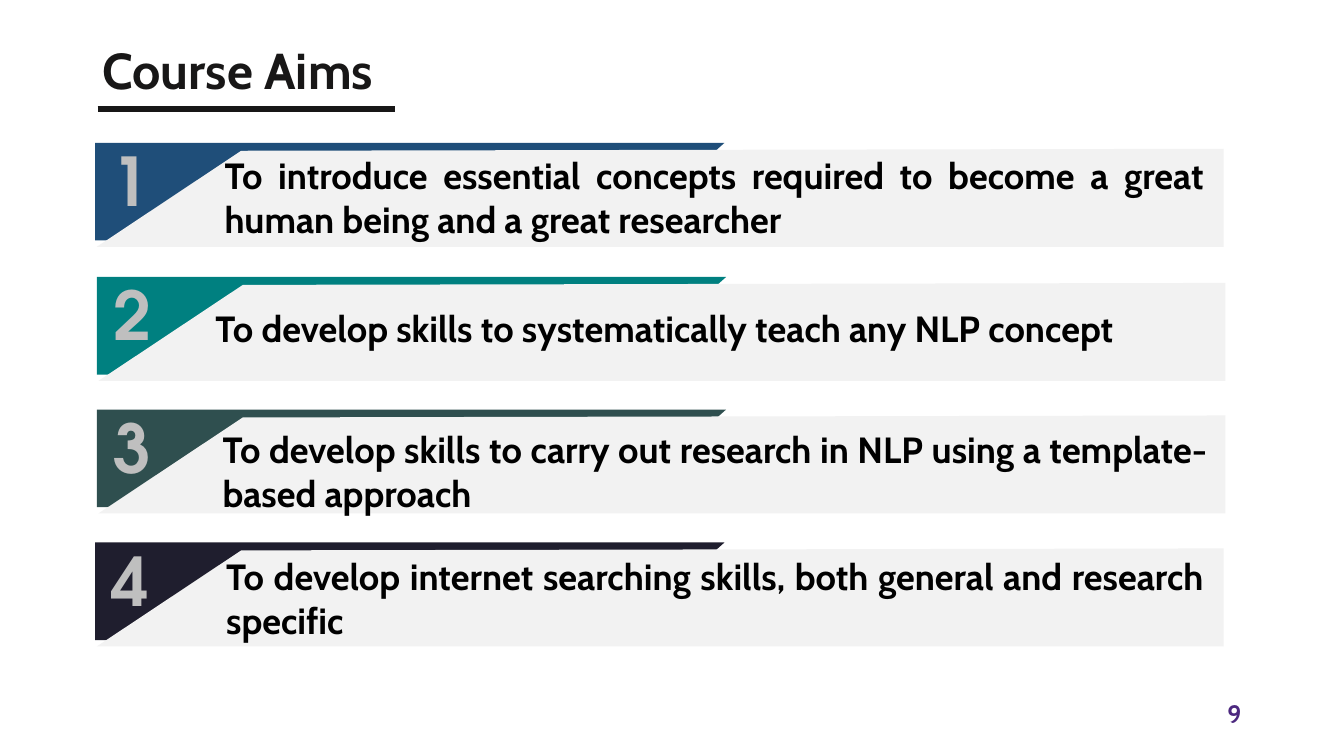
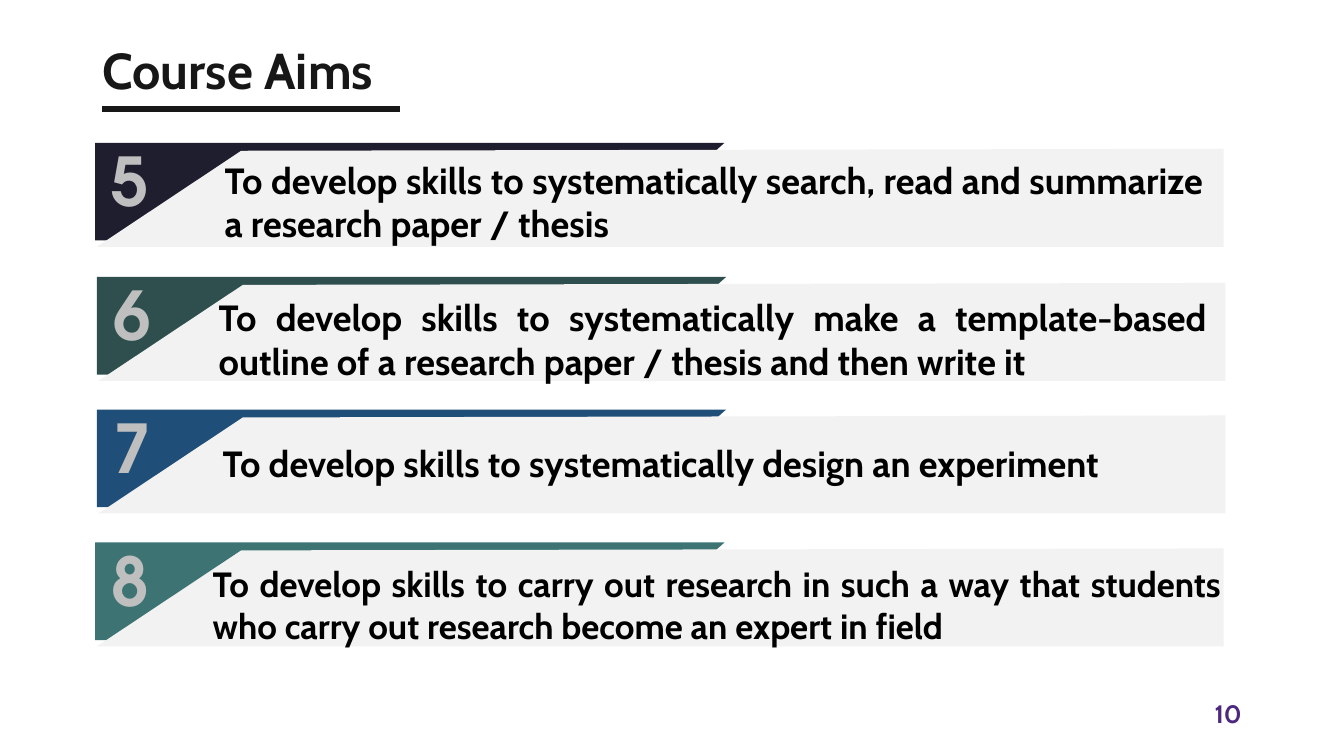
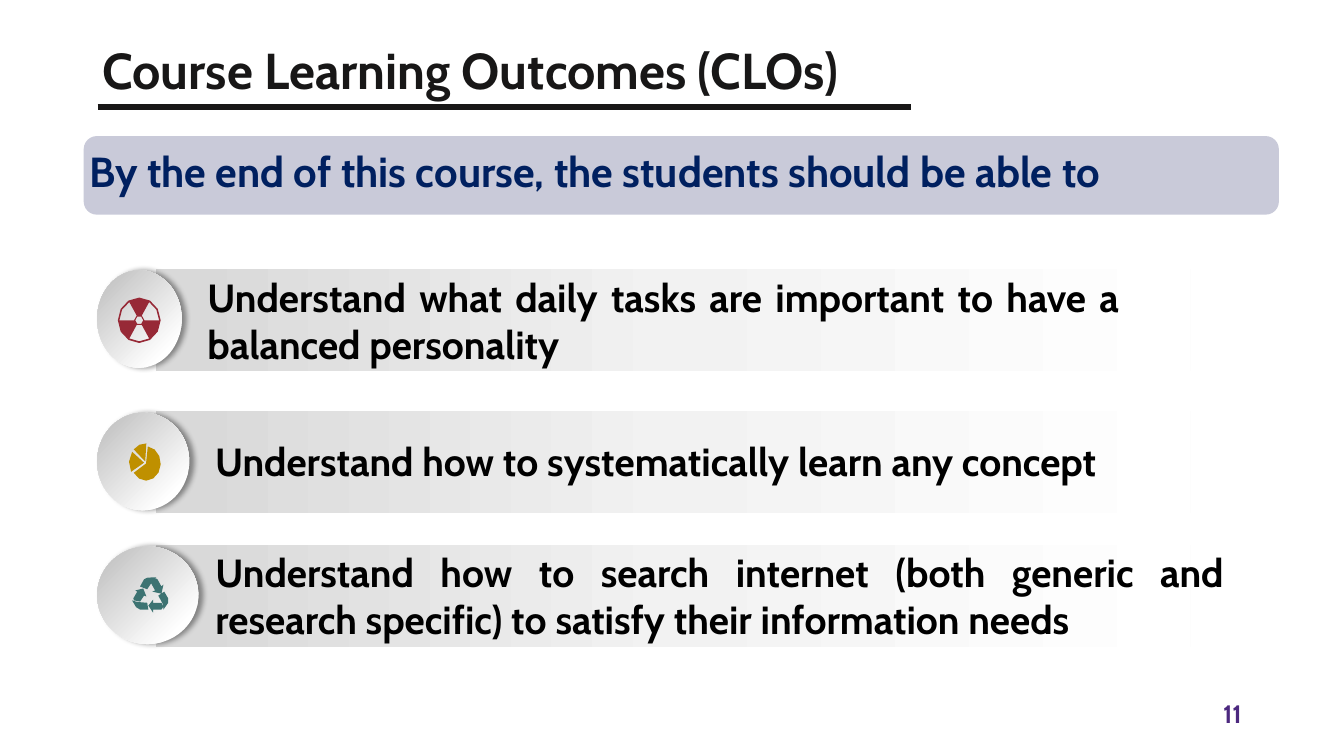
"""Build three course slides: two pages of aims and one of learning outcomes."""
from dataclasses import dataclass
from math import cos, radians, sin

from lxml.etree import SubElement as Sub
from pptx import Presentation
from pptx.dml.color import RGBColor
from pptx.enum.shapes import MSO_CONNECTOR as Conn, MSO_SHAPE as Kind
from pptx.enum.text import MSO_ANCHOR as Anchor, PP_ALIGN as Align
from pptx.oxml.ns import qn
from pptx.util import Cm, Pt

Point = tuple[float, float]
Path = list[Point]

SANS, ROUND = "Cabin", "TeX Gyre Adventor"
WHITE, INK, BLACK, NAVY, PURPLE = "FFFFFF", "181717", "000000", "002060", "4C287F"
PLATE, DIGIT, BAND = "F2F2F2", "BFBFBF", "C9CAD9"
BLUE, TEAL, SLATE, NIGHT, SEA = "1F4E79", "008080", "2F4F4F", "1F1E2E", "3D7372"
RED, GOLD = "972936", "BF9000"
BAR = [(3, "D9D9D9"), (50, "F2F2F2"), (100, WHITE)]
DISC = [(3, "BFBFBF"), (83, WHITE)]
ROWS = [(2.4, 3.6), (2.44, 6.98), (2.44, 10.32), (2.4, 13.67)]


@dataclass
class Box:
    x: float
    y: float
    w: float
    h: float

    def cm(self) -> list:
        return [Cm(v) for v in (self.x, self.y, self.w, self.h)]


@dataclass
class Font:
    size: float
    hue: str
    name: str = SANS


@dataclass
class Aim:
    text: str
    hue: str
    box: Box
    size: float = 26


@dataclass
class Goal:
    text: str
    top: float
    box: Box
    disc: float
    icon: list[Path]
    hue: str


def rgb(hue: str) -> RGBColor:
    return RGBColor.from_string(hue)


def write(slide, box: Box, text: str, font: Font, align=Align.LEFT,
          pad: Point = (0.25, 0.13), space: float = 1.0, anchor=Anchor.TOP) -> None:
    frame = slide.shapes.add_textbox(*box.cm()).text_frame
    frame.word_wrap = True
    frame.vertical_anchor = anchor
    frame.margin_left = frame.margin_right = Cm(pad[0])
    frame.margin_top = frame.margin_bottom = Cm(pad[1])
    frame.text = text
    para = frame.paragraphs[0]
    para.alignment, para.line_spacing = align, space
    face = para.runs[0].font
    face.name, face.size, face.bold = font.name, Pt(font.size), True
    face.color.rgb = rgb(font.hue)


def paint(shape, hue: str) -> None:
    shape.shadow.inherit = False
    shape.fill.solid()
    shape.fill.fore_color.rgb = rgb(hue)
    shape.line.fill.background()


def outline(slide, paths: list[Path], hue: str) -> None:
    first, *rest = [[(Cm(x), Cm(y)) for x, y in path] for path in paths]
    pen = slide.shapes.build_freeform(*first[0])
    pen.add_line_segments(first[1:])
    for path in rest:
        pen.move_to(*path[0])
        pen.add_line_segments(path[1:])
    paint(pen.convert_to_shape(), hue)


def blend(shape, stops: list, disc: bool = False) -> None:
    paint(shape, WHITE)
    shape.fill.gradient()
    grad = shape._element.spPr.find(qn("a:gradFill"))
    for part in list(grad):
        grad.remove(part)
    row = Sub(grad, qn("a:gsLst"))
    for place, hue in stops:
        stop = Sub(row, qn("a:gs"), pos=str(place * 1000))
        Sub(stop, qn("a:srgbClr"), val=hue)
    if disc:
        way = Sub(grad, qn("a:path"), path="circle")
        Sub(way, qn("a:fillToRect"), r="100000", b="100000")
    else:
        Sub(grad, qn("a:lin"), ang="0", scaled="0")


def shade(shape) -> None:
    glow = shape._element.spPr.find(qn("a:effectLst"))
    cast = Sub(glow, qn("a:outerShdw"), blurRad=str(Pt(4)), dist=str(Pt(3)),
               dir="0", algn="l", rotWithShape="0")
    Sub(Sub(cast, qn("a:srgbClr"), val=BLACK), qn("a:alpha"), val="40000")


def arc(x: float, y: float, size: float, start: int, end: int, tall: float,
        step: int = 30) -> Path:
    count = max(1, round(abs(end - start) / step))
    turns = [radians(start + (end - start) * i / count) for i in range(count + 1)]
    return [(x + size * cos(t), y + size * tall * sin(t)) for t in turns]


def hazard(x: float, y: float) -> list[Path]:
    tall = 1.06
    blades = [arc(x, y, 0.5, a, a + 60, tall) + arc(x, y, 0.13, a + 60, a, tall, 60)
              for a in (60, 180, 300)]
    return [arc(x, y, 0.54, 0, 360, tall), *blades, arc(x, y, 0.1, 0, 360, tall, 60)]


def pie(x: float, y: float) -> list[Path]:
    cuts = [(0.02, 0.02, 0.37, -83, 147), (-0.03, 0, 0.38, 149, 218),
            (0, -0.03, 0.39, 222, 274)]
    return [[(x + dx, y + dy), *arc(x + dx, y + dy, size, a, b, 1.17)]
            for dx, dy, size, a, b in cuts]


def cycle(x: float, y: float) -> list[Path]:
    parts = [
        [(0, 0.58), (0.13, 0.62), (0.38, 0.64), (0.41, 0.81), (0.2, 0.81), (0.1, 0.75)],
        [(0.53, 0.56), (0.53, 0.64), (0.74, 0.64), (0.79, 0.74), (0.74, 0.81),
         (0.53, 0.81), (0.53, 0.89), (0.41, 0.71)],
        [(0.81, 0.36), (0.91, 0.53), (0.91, 0.64), (0.79, 0.81), (0.78, 0.68), (0.66, 0.46)],
        [(0.28, 0.28), (0.36, 0.48), (0.3, 0.46), (0.2, 0.61), (0.05, 0.58),
         (0.03, 0.53), (0.13, 0.36), (0.08, 0.33)],
        [(0.61, 0.03), (0.64, 0.05), (0.74, 0.23), (0.79, 0.18), (0.74, 0.41),
         (0.51, 0.36), (0.58, 0.33), (0.48, 0.15), (0.55, 0.06)],
        [(0.51, 0), (0.61, 0), (0.5, 0.12), (0.38, 0.3), (0.2, 0.23), (0.3, 0.05), (0.38, 0.01)],
    ]
    return [[(x + dx, y + dy) for dx, dy in part] for part in parts]


def start(deck, title: str, page: int, rule: Box):
    slide = deck.slides.add_slide(deck.slide_layouts[6])
    write(slide, Box(23.92, 17.46, 7.62, 1.02), str(page), Font(18, PURPLE), Align.RIGHT)
    write(slide, Box(2.33, 0, 29.21, 3.68), title, Font(36, INK),
          space=0.9, anchor=Anchor.MIDDLE)
    x, y, w, _ = rule.cm()
    line = slide.shapes.add_connector(Conn.STRAIGHT, x, y, x + w, y)
    line.line.color.rgb, line.line.width = rgb(INK), Pt(4.5)
    Sub(line._element.spPr, qn("a:effectLst"))
    return slide


def foot(slide) -> None:
    patch = slide.shapes.add_shape(Kind.RECTANGLE, *Box(2.11, 17.37, 10.29, 1.22).cm())
    paint(patch, WHITE)
    patch.line.color.rgb, patch.line.width = rgb(WHITE), Pt(1)


def draw_aim(slide, aim: Aim, spot: Point, count: int) -> None:
    left, top = spot
    flag = [(0, 0), (15.86, 0), (13.14, 2.42), (0, 2.46)]
    plate = [(28.44, 2.62), (0.04, 2.62), (3.68, 0.2), (28.44, 0.15)]
    for path, hue in ((flag, aim.hue), (plate, PLATE)):
        outline(slide, [[(left + x, top + y) for x, y in path]], hue)
    write(slide, aim.box, aim.text, Font(aim.size, BLACK), Align.JUSTIFY)
    write(slide, Box(left + 0.06, top - 0.13, 1.65, 2.18), str(count),
          Font(48, DIGIT, ROUND), Align.CENTER, (0.13, 0.05))


def draw_goal(slide, goal: Goal) -> None:
    add = slide.shapes.add_shape
    blend(add(Kind.RECTANGLE, *Box(3.92, goal.top, 26.09, 2.57).cm()), BAR)
    write(slide, goal.box, goal.text, Font(28, BLACK), Align.JUSTIFY)
    disc = add(Kind.OVAL, *Box(2.45, goal.top + 0.04, goal.disc, 2.46).cm())
    blend(disc, DISC, True)
    shade(disc)
    outline(slide, goal.icon, goal.hue)


AIMS = [
    [Aim("To introduce essential concepts required to become a great human being "
         "and a great researcher", BLUE, Box(5.41, 3.73, 25.2, 2.49)),
     Aim("To develop skills to systematically teach any NLP concept",
         TEAL, Box(5.18, 7.58, 25.43, 1.37)),
     Aim("To develop skills to carry out research in NLP using a template-based approach",
         SLATE, Box(5.36, 10.64, 25.35, 2.49)),
     Aim("To develop internet searching skills, both general and research specific",
         NIGHT, Box(5.45, 13.84, 25.17, 2.49))],
    [Aim("To develop skills to systematically search, read and summarize a research "
         "paper / thesis", NIGHT, Box(5.41, 3.85, 25.2, 2.49)),
     Aim("To develop skills to systematically make a template-based outline of a "
         "research paper / thesis and then write it", SLATE, Box(5.26, 7.31, 25.43, 2.49)),
     Aim("To develop skills to systematically design an experiment",
         BLUE, Box(5.36, 10.99, 25.35, 1.37)),
     Aim("To develop skills to carry out research in such a way that students who "
         "carry out research become an expert in field",
         SEA, Box(5.11, 14.05, 25.91, 2.39), 25)],
]
RULES = [Box(2.46, 2.74, 7.5, 0), Box(2.58, 2.74, 7.5, 0)]
GOALS = [
    Goal("Understand how to systematically learn any concept",
         10.36, Box(5.17, 10.9, 24.84, 1.45), 2.32, pie(3.66, 11.66), GOLD),
    Goal("Understand how to search internet (both generic and research specific) "
         "to satisfy their information needs",
         13.73, Box(5.18, 13.69, 25.91, 2.64), 2.55, cycle(3.33, 14.55), SEA),
    Goal("Understand what daily tasks are important to have a balanced personality",
         6.77, Box(4.98, 6.76, 23.47, 2.64), 2.13, hazard(3.51, 8.07), RED),
]


def main() -> None:
    deck = Presentation()
    deck.slide_width, deck.slide_height = Cm(33.87), Cm(19.05)
    count = 0
    for page, (aims, rule) in enumerate(zip(AIMS, RULES), 9):
        slide = start(deck, "Course Aims", page, rule)
        for aim, spot in zip(aims, ROWS):
            count += 1
            draw_aim(slide, aim, spot, count)
        foot(slide)
    slide = start(deck, "Course Learning Outcomes (CLOs)", 11, Box(2.46, 2.69, 20.5, 0))
    band = slide.shapes.add_shape(Kind.ROUNDED_RECTANGLE, *Box(2.11, 3.43, 30.12, 1.98).cm())
    paint(band, BAND)
    write(slide, Box(2.01, 3.68, 30.81, 1.65),
          "By the end of this course, the students should be able to",
          Font(30, NAVY), space=0.9)
    for goal in GOALS:
        draw_goal(slide, goal)
    foot(slide)
    deck.save("out.pptx")


if __name__ == "__main__":
    main()
